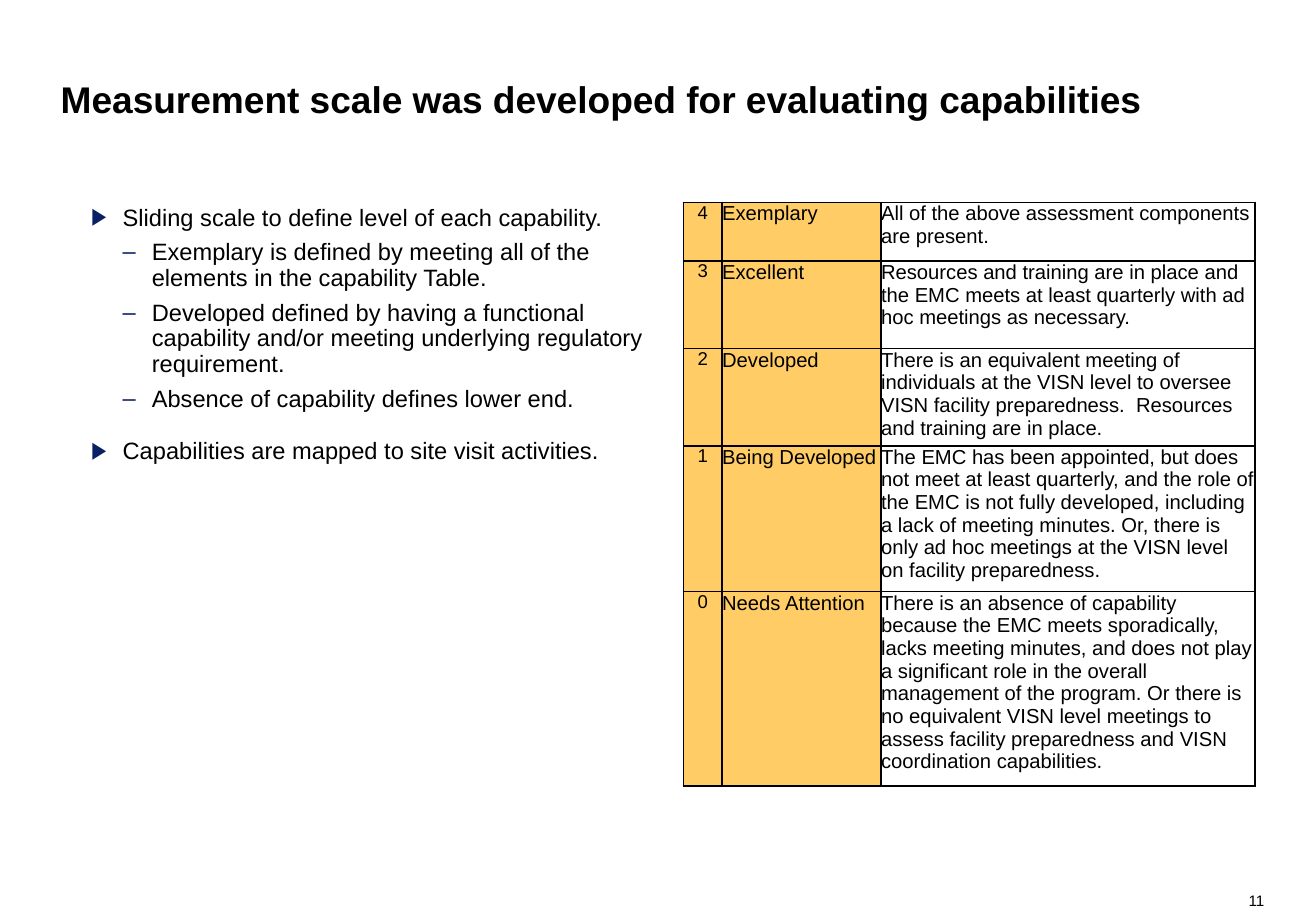
from dataclasses import dataclass

from lxml.etree import SubElement
from pptx import Presentation
from pptx.dml.color import RGBColor
from pptx.enum.text import MSO_ANCHOR, PP_ALIGN
from pptx.oxml.ns import qn
from pptx.slide import Slide
from pptx.table import _Cell
from pptx.text.text import TextFrame, _Paragraph
from pptx.util import Inches, Length, Pt

COLUMNS, ROWS = 130, 90
FONT = "Arial"
COLORS = {"text": "000000", "bullet": "0B1F65", "label": "FFCC66", "description": "FFFFFF"}


@dataclass(frozen=True)
class Area:
    column: float
    row: float
    columns: float
    rows: float


@dataclass(frozen=True)
class BulletStyle:
    symbol: str
    indent: float
    hanging: float
    line_spacing: float
    space_before: float


@dataclass(frozen=True)
class Point:
    style: BulletStyle
    text: str


@dataclass(frozen=True)
class Level:
    score: str
    label: str
    description: str
    rows: float


TITLE_AREA = Area(6, 5, 118, 7)
POINTS_AREA = Area(9, 20, 56.5, 55)
SCALE_AREA = Area(67.5, 20, 56.5, 56.7)
PAGE_NUMBER_AREA = Area(123.1, 88.1, 1.8, 1.8)
SCALE_COLUMNS = (3.84, 15.7, 36.96)

MAIN = BulletStyle("▶", 0.26, 0.26, 1.0, 14)
DETAIL = BulletStyle("–", 0.5, 0.24, 0.9, 5.6)

POINTS = (
    Point(MAIN, "Sliding scale to define level of each capability."),
    Point(DETAIL, "Exemplary is defined by meeting all of the elements in the capability Table."),
    Point(DETAIL, "Developed defined by having a functional capability and/or meeting "
                  "underlying regulatory requirement."),
    Point(DETAIL, "Absence of capability defines lower end."),
    Point(MAIN, "Capabilities are mapped to site visit activities."),
)

SCALE = (
    Level("4", "Exemplary", "All of the above assessment components are present.", 5.8),
    Level("3", "Excellent", "Resources and training are in place and the EMC meets at least "
          "quarterly with ad hoc meetings as necessary.", 8.65),
    Level("2", "Developed", "There is an equivalent meeting of individuals at the VISN level to "
          "oversee VISN facility preparedness.  Resources and training are in place.", 8.95),
    Level("1", "Being Developed", "The EMC has been appointed, but does not meet at least "
          "quarterly, and the role of the EMC is not fully developed, including a lack of "
          "meeting minutes. Or, there is only ad hoc meetings at the VISN level on facility "
          "preparedness.", 14.4),
    Level("0", "Needs Attention", "There is an absence of capability because the EMC meets "
          "sporadically, lacks meeting minutes, and does not play a significant role in the "
          "overall management of the program. Or there is no equivalent VISN level meetings to "
          "assess facility preparedness and VISN coordination capabilities.", 17.9),
)


def grid(cells: float) -> Length:
    """Length of a number of grid cells, twelve to the inch."""
    return Inches(cells / 12)


def place(area: Area) -> tuple[Length, ...]:
    return grid(area.column), grid(area.row), grid(area.columns), grid(area.rows)


def write(paragraph: _Paragraph, text: str, size: float, bold: bool = False) -> None:
    paragraph.text = text
    font = paragraph.font
    font.name, font.size, font.bold = FONT, Pt(size), bold
    font.color.rgb = RGBColor.from_string(COLORS["text"])


def add_text_area(slide: Slide, area: Area, wrap: bool = True) -> TextFrame:
    frame = slide.shapes.add_textbox(*place(area)).text_frame
    frame.word_wrap = wrap
    frame.margin_left = frame.margin_top = frame.margin_right = frame.margin_bottom = 0
    return frame


def add_bullet(paragraph: _Paragraph, style: BulletStyle) -> None:
    properties = paragraph._p.get_or_add_pPr()
    properties.set("marL", str(Inches(style.indent)))
    properties.set("indent", str(-Inches(style.hanging)))
    color = SubElement(properties, qn("a:buClr"))
    SubElement(color, qn("a:srgbClr"), val=COLORS["bullet"])
    SubElement(properties, qn("a:buFont"), typeface=FONT)
    SubElement(properties, qn("a:buChar"), char=style.symbol)


def add_title(slide: Slide) -> None:
    frame = add_text_area(slide, TITLE_AREA)
    frame.vertical_anchor = MSO_ANCHOR.BOTTOM
    heading = frame.paragraphs[0]
    heading.line_spacing = 0.9
    write(heading, "Measurement scale was developed for evaluating capabilities", 22, bold=True)


def add_points(slide: Slide) -> None:
    frame = add_text_area(slide, POINTS_AREA)
    for index, point in enumerate(POINTS):
        paragraph = frame.add_paragraph() if index else frame.paragraphs[0]
        add_bullet(paragraph, point.style)
        paragraph.line_spacing = point.style.line_spacing
        paragraph.space_before = Pt(point.style.space_before if index else 0)
        write(paragraph, point.text, 14)


def add_borders(cell: _Cell) -> None:
    properties = cell._tc.get_or_add_tcPr()
    for side in ("a:lnL", "a:lnR", "a:lnT", "a:lnB"):
        line = SubElement(properties, qn(side), w=str(Pt(1)))
        fill = SubElement(line, qn("a:solidFill"))
        SubElement(fill, qn("a:srgbClr"), val=COLORS["text"])


def fill_cell(cell: _Cell, text: str, size: float, fill: str, align: PP_ALIGN) -> None:
    cell.margin_left = cell.margin_top = cell.margin_right = cell.margin_bottom = 0
    add_borders(cell)
    cell.fill.solid()
    cell.fill.fore_color.rgb = RGBColor.from_string(COLORS[fill])
    paragraph = cell.text_frame.paragraphs[0]
    paragraph.alignment = align
    write(paragraph, text, size)


def add_scale(slide: Slide) -> None:
    table = slide.shapes.add_table(len(SCALE), len(SCALE_COLUMNS), *place(SCALE_AREA)).table
    table.first_row = table.horz_banding = False
    for column, width in zip(table.columns, SCALE_COLUMNS):
        column.width = grid(width)
    for row, level in zip(table.rows, SCALE):
        row.height = grid(level.rows)
        score, label, description = row.cells
        fill_cell(score, level.score, 11, "label", PP_ALIGN.CENTER)
        fill_cell(label, level.label, 12, "label", PP_ALIGN.LEFT)
        fill_cell(description, level.description, 12, "description", PP_ALIGN.LEFT)


def add_page_number(slide: Slide) -> None:
    number = add_text_area(slide, PAGE_NUMBER_AREA, wrap=False).paragraphs[0]
    number.alignment = PP_ALIGN.RIGHT
    write(number, "11", 9)


def main() -> None:
    deck = Presentation()
    deck.slide_width, deck.slide_height = grid(COLUMNS), grid(ROWS)
    slide = deck.slides.add_slide(deck.slide_layouts[6])
    add_page_number(slide)
    add_title(slide)
    add_points(slide)
    add_scale(slide)
    deck.save("out.pptx")


if __name__ == "__main__":
    main()
